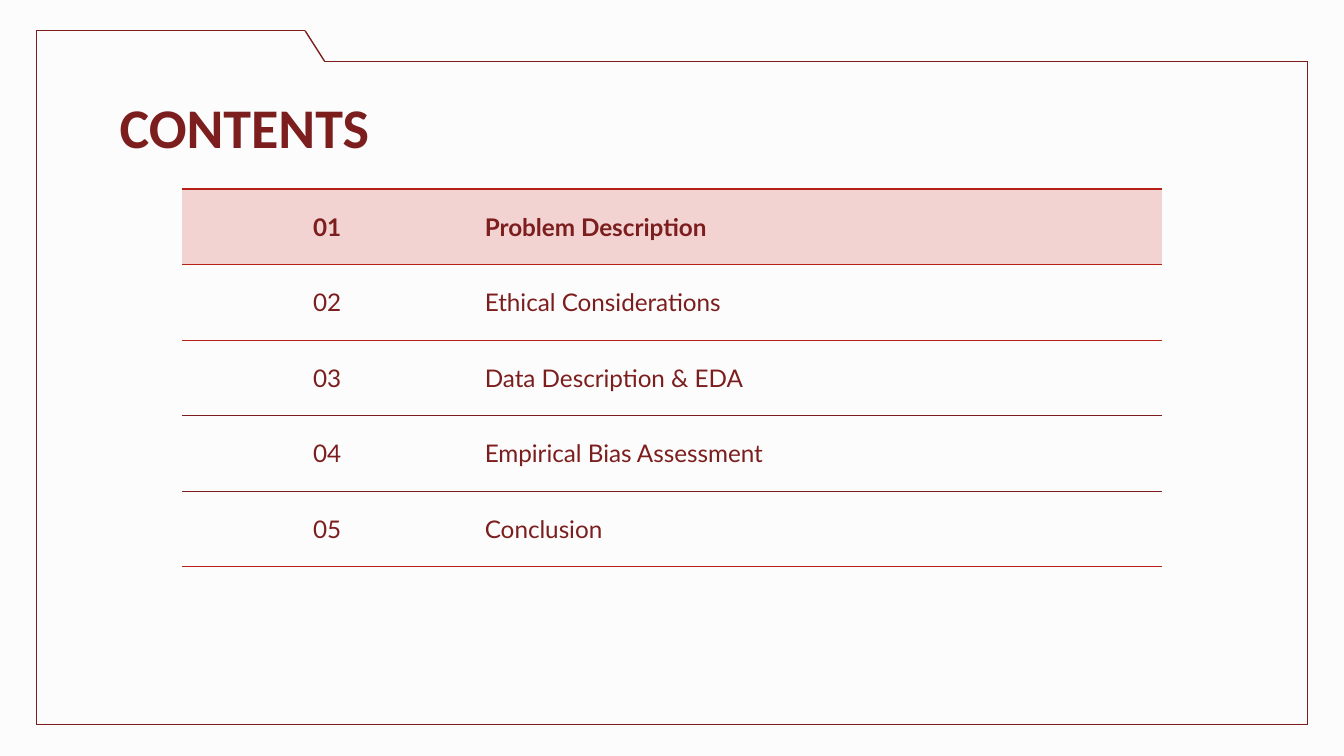
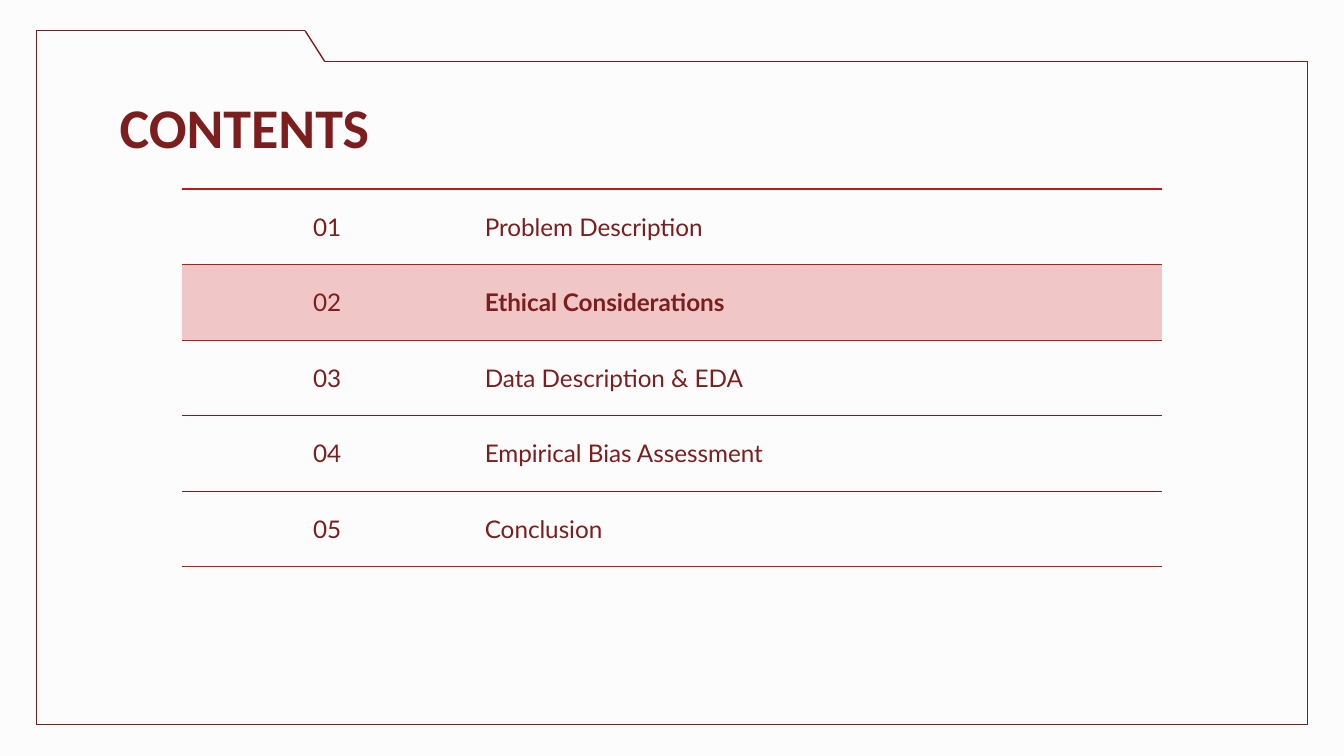
from pptx import Presentation
from pptx.dml.color import RGBColor as RGB
from pptx.enum.shapes import MSO_CONNECTOR as CONN
from pptx.enum.text import MSO_ANCHOR as ANCHOR, PP_ALIGN as ALIGN
from pptx.oxml.ns import qn
from pptx.util import Pt
from lxml import etree

COLORS = {
    "paper": "FCFCFC",
    "wine": "7C1E1E",
    "rule": "B61F16",
    "rose": "F3D3D2",
    "pink": "F1C6C6",
}
TITLE_FONT, BODY_FONT = "Calibri", "Lato"
LINE_WIDTH = 0.75

# Folder outline, clockwise from the top left of the tab
FOLDER = [(19.5, 16.5), (163.5, 16.5), (174, 33),
          (700.5, 33), (700.5, 388), (19.5, 388)]

CHAPTERS = ["Problem Description", "Ethical Considerations",
            "Data Description & EDA", "Empirical Bias Assessment", "Conclusion"]
COLUMNS = (155.5, 369.5)
ROW_HEIGHT = 40.5
# Rules above, between and below the rows
RULES = ["rule", "rule", "rule", "wine", "wine", "rule"]


def color(name):
    return RGB.from_string(COLORS[name])


def set_font(p, name, size, bold):
    p.font.name, p.font.size, p.font.bold = name, Pt(size), bold
    p.font.color.rgb = color("wine")


def add_line(s, start, end):
    line = s.shapes.add_connector(CONN.STRAIGHT, *map(Pt, start + end))
    line.line.color.rgb = color("wine")
    line.line.width = Pt(LINE_WIDTH)
    etree.SubElement(line._element.spPr, qn("a:effectLst"))


def add_folder(s):
    for start, end in zip(FOLDER, FOLDER[1:] + FOLDER[:1]):
        add_line(s, start, end)


def add_title(s, text):
    tf = s.shapes.add_textbox(Pt(57), Pt(42.5), Pt(607), Pt(37.5)).text_frame
    tf.word_wrap = True
    tf.margin_left = tf.margin_right = tf.margin_top = tf.margin_bottom = Pt(7.2)
    p = tf.paragraphs[0]
    p.text = text
    set_font(p, TITLE_FONT, 30, True)


def set_border(cell, side, name=None):
    ln = etree.SubElement(cell._tc.get_or_add_tcPr(), qn(f"a:ln{side}"),
                          w=str(Pt(LINE_WIDTH)))
    if name is None:
        etree.SubElement(ln, qn("a:noFill"))
    else:
        fill = etree.SubElement(ln, qn("a:solidFill"))
        etree.SubElement(fill, qn("a:srgbClr"), val=COLORS[name])


def fill_cell(cell, text, bold, fill, top, bottom):
    # Borders come before the fill in the cell properties
    for side, name in (("L", None), ("R", None), ("T", top), ("B", bottom)):
        set_border(cell, side, name)
    if fill:
        cell.fill.solid()
        cell.fill.fore_color.rgb = color(fill)
    else:
        cell.fill.background()
    cell.vertical_anchor = ANCHOR.MIDDLE
    cell.margin_left = cell.margin_right = Pt(6.75)
    cell.margin_top = cell.margin_bottom = 0
    p = cell.text_frame.paragraphs[0]
    p.text = text
    set_font(p, BODY_FONT, 13, bold)
    return p


def add_chapters(s, current, fill, bold_number):
    rows = len(CHAPTERS)
    table = s.shapes.add_table(rows, 2, Pt(97.5), Pt(101.25), Pt(sum(COLUMNS)),
                               Pt(rows * ROW_HEIGHT)).table
    table.first_row = table.horz_banding = False
    for col, width in zip(table.columns, COLUMNS):
        col.width = Pt(width)
    for i, chapter in enumerate(CHAPTERS):
        table.rows[i].height = Pt(ROW_HEIGHT)
        active = i == current
        look = (fill if active else None, RULES[i], RULES[i + 1])
        p = fill_cell(table.cell(i, 0), f"{i + 1:02}", active and bold_number, *look)
        p.alignment = ALIGN.CENTER
        p = fill_cell(table.cell(i, 1), chapter, active, *look)
        p.space_after = Pt(16)


def add_contents(prs, current, fill, bold_number):
    s = prs.slides.add_slide(prs.slide_layouts[6])
    add_folder(s)
    add_title(s, "CONTENTS")
    add_chapters(s, current, fill, bold_number)


def main():
    prs = Presentation()
    prs.slide_width, prs.slide_height = Pt(720), Pt(405)
    # Shared background
    bg = prs.slide_master.background.fill
    bg.solid()
    bg.fore_color.rgb = color("paper")

    add_contents(prs, 0, "rose", bold_number=True)
    add_contents(prs, 1, "pink", bold_number=False)
    prs.save("out.pptx")


if __name__ == "__main__":
    main()
